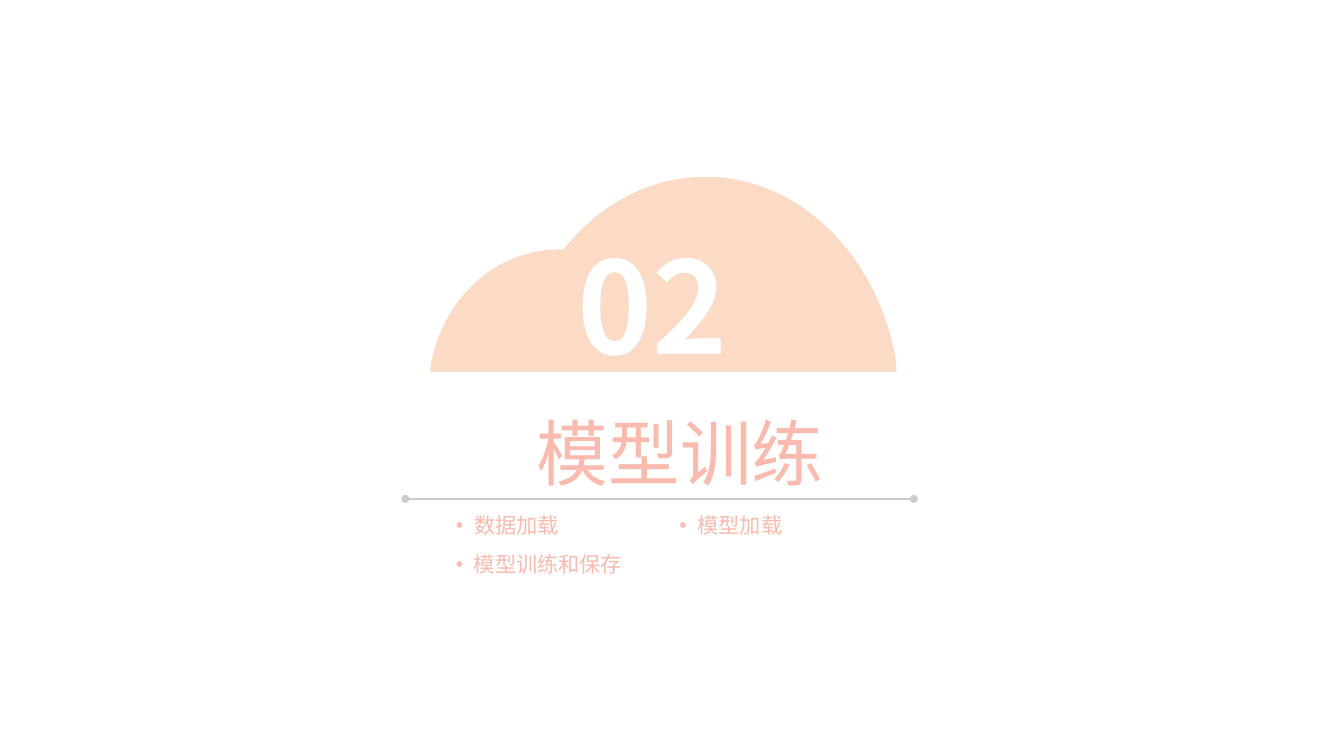
from lxml.etree import SubElement
from pptx import Presentation
from pptx.dml.color import RGBColor
from pptx.enum.shapes import MSO_CONNECTOR
from pptx.enum.text import MSO_ANCHOR, PP_ALIGN
from pptx.oxml.ns import qn
from pptx.util import Inches, Pt

FONT = "Noto Sans CJK SC"
PEACH, PINK, GREY, WHITE = "FBDBC6", "FABAAE", "CCCCCC", "FFFFFF"
NUMBER, TITLE = "02", "模型训练"
# text, left, top, width
TOPICS = [
    ("数据加载", 4.67, 5.31, 1.29),
    ("模型加载", 7.01, 5.31, 1.29),
    ("模型训练和保存", 4.67, 5.72, 1.96),
]
# right half of each dome: Bezier points from the top to the side, then the base corner
DOMES = [
    [(7.38, 1.85), (8.36, 1.85), (9.18, 2.67), (9.37, 3.76), (9.38, 3.89)],
    [(5.85, 2.61), (6.51, 2.61), (7.06, 3.12), (7.19, 3.8), (7.2, 3.89)],
]


def color(hex_string):
    return RGBColor.from_string(hex_string)


def merge_curve(segments):
    """Turn three straight segments into one Bezier curve through their points."""
    curve = segments[0]
    curve.tag = qn("a:cubicBezTo")
    for segment in segments[1:]:
        curve.append(segment[0])
        segment.getparent().remove(segment)


def add_dome(s, right):
    """Mirror the right half about the vertical through the top."""
    center = right[0][0]
    left = [(2 * center - x, y) for x, y in reversed(right)]
    outline = [(Inches(x), Inches(y)) for x, y in right + left]
    builder = s.shapes.build_freeform(*outline[0])
    builder.add_line_segments(outline[1:], close=True)
    sp = builder.convert_to_shape()
    segments = list(sp._element.iter(qn("a:lnTo")))
    for curve in (segments[:3], segments[6:9]):
        merge_curve(curve)
    sp.shadow.inherit = False
    sp.fill.solid()
    sp.fill.fore_color.rgb = color(PEACH)
    sp.line.fill.background()


def add_text(s, text, box, size, hex_color, bold=False, align=PP_ALIGN.CENTER, inset=0, wrap=True):
    sp = s.shapes.add_textbox(*map(Inches, box))
    tf = sp.text_frame
    tf.word_wrap = wrap
    tf.vertical_anchor = MSO_ANCHOR.MIDDLE
    tf.margin_left = tf.margin_right = Inches(inset)
    tf.margin_top = tf.margin_bottom = Inches(inset / 2)
    p = tf.paragraphs[0]
    p.alignment = align
    r = p.add_run()
    r.text = text
    r.font.size = Pt(size)
    r.font.bold = bold
    r.font.name = FONT
    r.font.color.rgb = color(hex_color)
    SubElement(r._r.get_or_add_rPr(), qn("a:ea"), typeface=FONT)
    return p


def add_bullet(p):
    pPr = p._p.get_or_add_pPr()
    indent = Inches(0.19)
    pPr.set("marL", str(indent))
    pPr.set("indent", str(-indent))
    SubElement(pPr, qn("a:buFont"), typeface="Arial")
    SubElement(pPr, qn("a:buChar"), char="•")


def add_divider(s, left, right, y):
    line = s.shapes.add_connector(
        MSO_CONNECTOR.STRAIGHT, Inches(left), Inches(y), Inches(right), Inches(y))
    line.line.color.rgb = color(GREY)
    line.line.width = Pt(1)
    spPr = line._element.spPr
    for end in ("a:headEnd", "a:tailEnd"):
        SubElement(spPr.find(qn("a:ln")), qn(end), type="oval")
    SubElement(spPr, qn("a:effectLst"))


def main():
    prs = Presentation()
    prs.slide_width, prs.slide_height = Inches(14.06), Inches(7.91)
    s = prs.slides.add_slide(prs.slide_layouts[6])
    for dome in DOMES:
        add_dome(s, dome)
    add_text(s, NUMBER, (5.83, 2.21, 2, 1.93), 96, WHITE, bold=True)
    add_divider(s, 4.24, 9.56, 5.22)
    add_text(s, TITLE, (4.67, 4.27, 4.89, 0.91), 54, PINK)
    for text, left, top, width in TOPICS:
        p = add_text(s, text, (left, top, width, 0.37), 16, PINK,
                     align=PP_ALIGN.LEFT, inset=0.1, wrap=False)
        add_bullet(p)
    prs.save("out.pptx")


if __name__ == "__main__":
    main()
